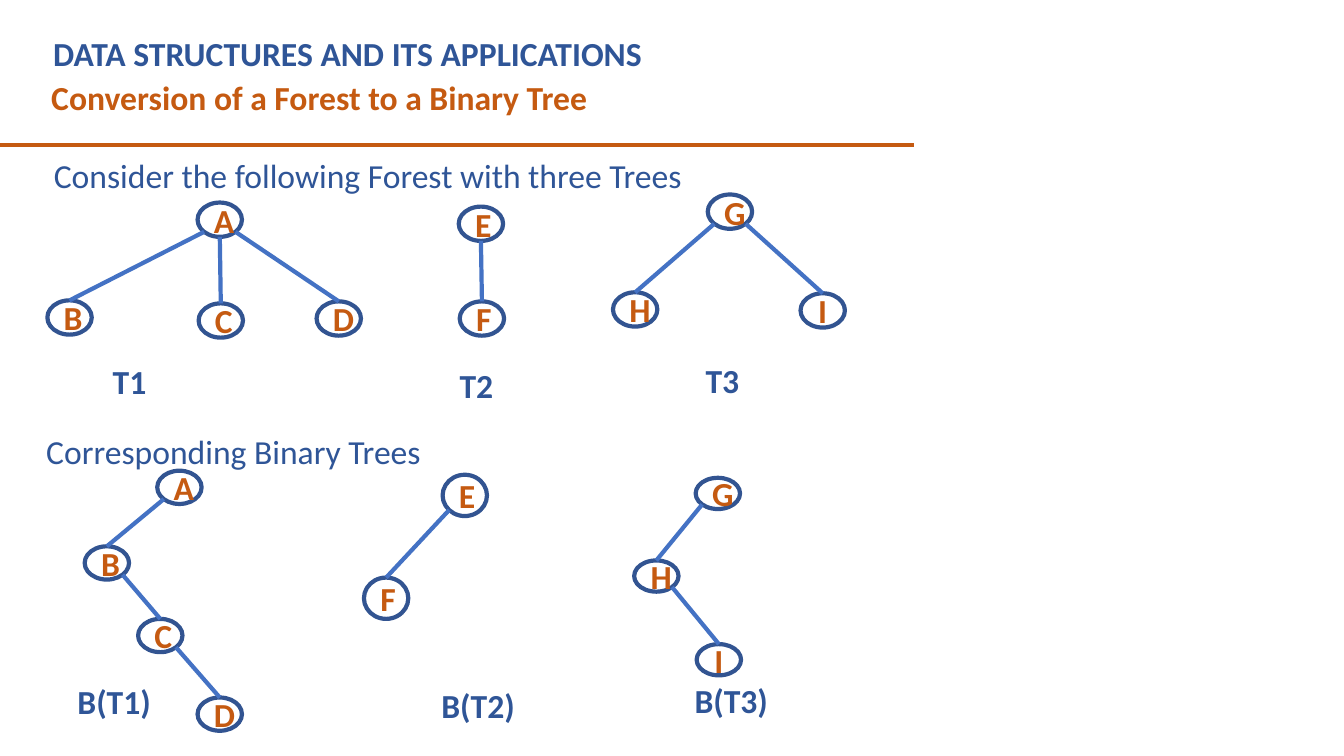
from dataclasses import dataclass
from math import sqrt

from lxml import etree
from pptx import Presentation
from pptx.dml.color import RGBColor
from pptx.enum.shapes import MSO_CONNECTOR, MSO_SHAPE
from pptx.enum.text import MSO_ANCHOR, PP_ALIGN
from pptx.oxml.ns import qn
from pptx.shapes.autoshape import Shape
from pptx.shapes.connector import Connector
from pptx.text.text import TextFrame
from pptx.util import Inches, Pt

OVAL = MSO_SHAPE.OVAL
STRAIGHT = MSO_CONNECTOR.STRAIGHT
LEFT, CENTER = PP_ALIGN.LEFT, PP_ALIGN.CENTER
TOP, MIDDLE = MSO_ANCHOR.TOP, MSO_ANCHOR.MIDDLE

COLORS = {
    "rust": "C55A11",
    "navy": "2F5597",
    "ring": "325491",
    "edge": "4472C4",
    "white": "FFFFFF",
}
CELL = Inches(0.1)  # side of one grid square
NODE_W = 4.4
STROKE = Pt(3)


@dataclass
class Node:
    name: str
    col: float
    row: float
    parent: str = ""


@dataclass
class Tree:
    node_h: float
    nodes: list[Node]


@dataclass
class Label:
    text: str
    col: float
    row: float
    cols: float
    color: str = "navy"


TREES = [
    Tree(3.4, [Node("A", 19.6, 20.1), Node("B", 4.7, 29.8, "A"),
               Node("C", 19.7, 30.1, "A"), Node("D", 31.4, 29.9, "A")]),
    Tree(3.4, [Node("E", 45.5, 20.5), Node("F", 45.6, 29.9, "E")]),
    Tree(3.4, [Node("G", 70.2, 19.3), Node("H", 60.8, 29, "G"),
               Node("I", 79.4, 29.1, "G")]),
    Tree(3.3, [Node("A", 15.6, 46.7), Node("B", 8.4, 54.2, "A"),
               Node("C", 13.7, 61.4, "B"), Node("D", 19.6, 69.2, "C")]),
    Tree(4.1, [Node("E", 43.9, 47.1), Node("F", 36.1, 57.3, "E")]),
    Tree(3.1, [Node("G", 69, 47.4), Node("H", 62.9, 55.6, "G"),
               Node("I", 69.1, 63.9, "H")]),
]

LABELS = [
    Label("DATA STRUCTURES AND ITS APPLICATIONS", 4.3, 2.8, 82),
    Label("Conversion of a Forest to a Binary Tree", 4.1, 7.1, 87.5, "rust"),
    Label("T1", 10.2, 35.3, 6),
    Label("T2", 44.6, 35.7, 6),
    Label("T3", 69, 35.2, 6),
    Label("B(T1)", 6.7, 67.1, 10),
    Label("B(T2)", 42.8, 67.5, 10),
    Label("B(T3)", 67.9, 67, 10),
]


def grid(cells: float) -> int:
    return round(cells * CELL)


def paint(name: str) -> RGBColor:
    return RGBColor.from_string(COLORS[name])


def write(frame: TextFrame, *lines: str, color: str = "navy", bold: bool = True,
          align: PP_ALIGN = LEFT, anchor: MSO_ANCHOR = TOP, gap: float = 0) -> None:
    """Fill the frame with paragraphs that stand gap points apart."""
    frame.word_wrap = True
    frame.vertical_anchor = anchor
    for i, line in enumerate(lines):
        para = frame.add_paragraph() if i else frame.paragraphs[0]
        para.alignment = align
        if i:
            para.space_before = Pt(gap)
        run = para.add_run()
        run.text = line
        run.font.name = "Calibri"
        run.font.size = Pt(24)
        run.font.bold = bold
        run.font.color.rgb = paint(color)


def add_box(shapes, col: float, row: float, cols: float, rows: float) -> TextFrame:
    return shapes.add_textbox(*map(grid, (col, row, cols, rows))).text_frame


def add_line(shapes, start: tuple[int, int], end: tuple[int, int], color: str) -> Connector:
    line = shapes.add_connector(STRAIGHT, *start, *end)
    line.line.color.rgb = paint(color)
    line.line.width = STROKE
    etree.SubElement(line._element.spPr, qn("a:effectLst"))
    return line


def add_node(shapes, node: Node, height: float) -> Shape:
    oval = shapes.add_shape(OVAL, *map(grid, (node.col, node.row, NODE_W, height)))
    oval.shadow.inherit = False
    oval.fill.solid()
    oval.fill.fore_color.rgb = paint("white")
    oval.line.color.rgb = paint("ring")
    oval.line.width = STROKE
    write(oval.text_frame, node.name, color="rust", align=CENTER, anchor=MIDDLE)
    return oval


def add_edge(shapes, parent: Shape, child: Shape) -> None:
    """Run from the parent's rim, on the child's side, to the child's top."""
    shift = child.left - parent.left
    side = 0 if abs(shift) < CELL else 1 if shift > 0 else -1
    reach = 1 / sqrt(2) if side else 1
    half_w, half_h = parent.width / 2, parent.height / 2
    start = (round(parent.left + half_w * (1 + side * reach)),
             round(parent.top + half_h * (1 + reach)))
    end = (child.left + child.width // 2, child.top)
    add_line(shapes, start, end, "edge").end_connect(child, 0)


def add_tree(shapes, tree: Tree) -> None:
    group = shapes.add_group_shape().shapes
    ovals = {n.name: add_node(group, n, tree.node_h) for n in tree.nodes}
    for node in tree.nodes:
        if node.parent:
            add_edge(group, ovals[node.parent], ovals[node.name])


def main() -> None:
    deck = Presentation()
    deck.slide_width, deck.slide_height = Inches(13.33), Inches(7.5)
    shapes = deck.slides.add_slide(deck.slide_layouts[6]).shapes

    add_line(shapes, (0, grid(14.4)), (grid(90.7), grid(14.4)), "rust")
    body = add_box(shapes, 3.6, 14.9, 86.8, 59.5)
    write(body, "Consider the following Forest with three Trees",
          "Corresponding Binary Trees", bold=False, gap=168)
    body.paragraphs[0]._p.get_or_add_pPr().set("marL", str(grid(0.75)))

    for tree in TREES:
        add_tree(shapes, tree)
    for label in LABELS:
        box = add_box(shapes, label.col, label.row, label.cols, 5)
        write(box, label.text, color=label.color)

    deck.save("out.pptx")


if __name__ == "__main__":
    main()
